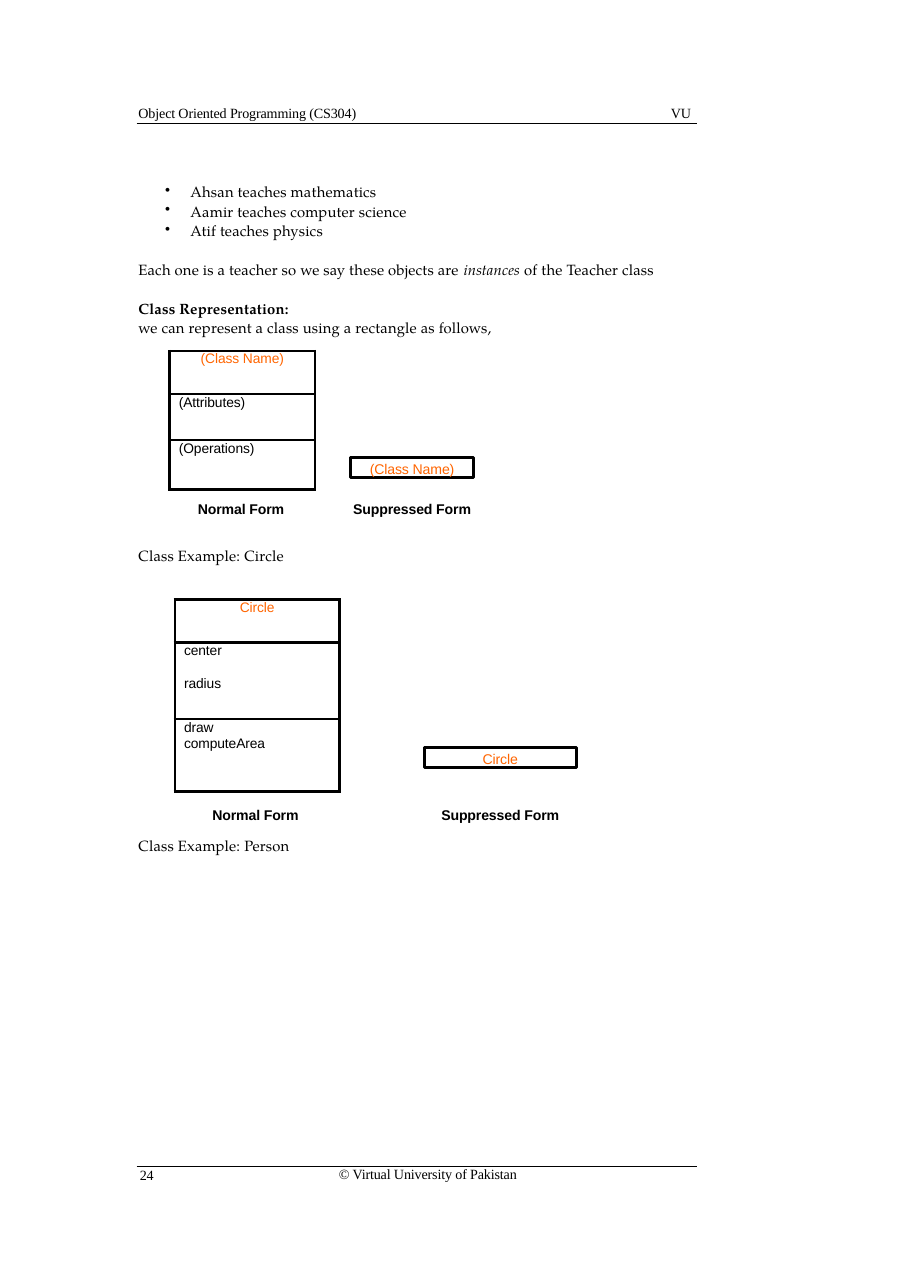
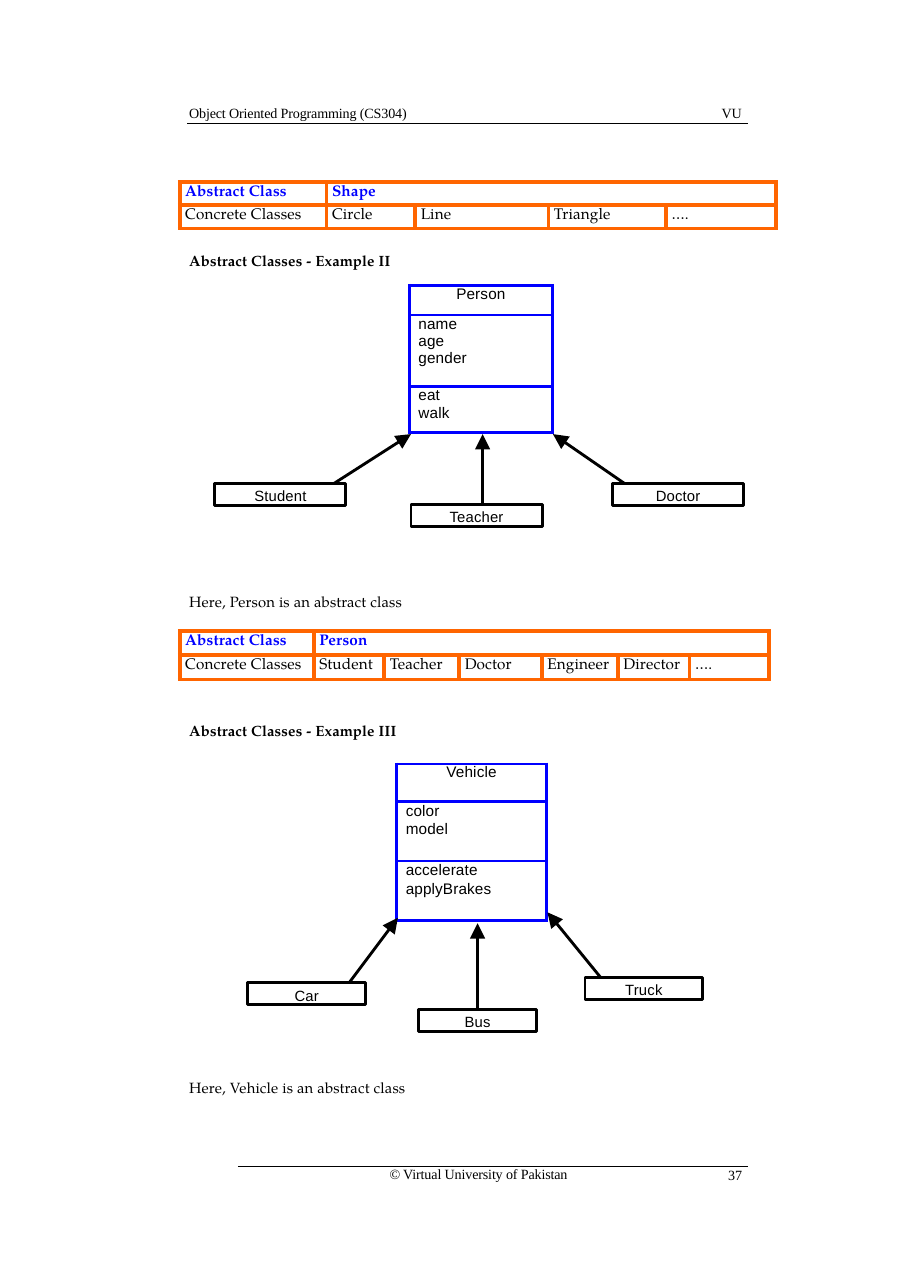
from lxml.etree import SubElement
from pptx import Presentation
from pptx.dml.color import RGBColor
from pptx.enum.shapes import MSO_CONNECTOR, MSO_SHAPE
from pptx.enum.text import MSO_ANCHOR, PP_ALIGN
from pptx.oxml.ns import qn
from pptx.util import Pt

BLACK = RGBColor(0x00, 0x00, 0x00)
ORANGE = RGBColor(0xFF, 0x65, 0x00)
BLUE = RGBColor(0x00, 0x00, 0xFF)
SERIF, SANS, BODY = "Times New Roman", "Arial", "TeX Gyre Pagella"
BOX_LINE = 1.88
CENTER = PP_ALIGN.CENTER


def write(p, text, font=BODY, size=9.7, color=BLACK, bold=False, italic=False,
          spacing=0.1, align=None, before=None, leading=None):
    r = p.add_run()
    r.text = text
    r.font.name, r.font.size = font, Pt(size)
    r.font.bold, r.font.italic = bold, italic
    r.font.color.rgb = color
    r.font._element.set("spc", str(round(spacing * 100)))
    if align is not None:
        p.alignment = align
    if before is not None:
        p.space_before = Pt(before)
    if leading is not None:
        p.line_spacing = Pt(leading)


def add_bullet(p, left=34, hang=16.5):
    pPr = p._p.get_or_add_pPr()
    pPr.set("marL", str(Pt(left)))
    pPr.set("indent", str(-Pt(hang)))
    SubElement(pPr, qn("a:buChar")).set("char", "•")


def set_borders(cell, color, width):
    tcPr = cell._tc.get_or_add_tcPr()
    for i, side in enumerate(("lnL", "lnR", "lnT", "lnB")):
        ln = SubElement(tcPr, qn(f"a:{side}"))
        ln.set("w", str(Pt(width)))
        fill = SubElement(ln, qn("a:solidFill"))
        SubElement(fill, qn("a:srgbClr")).set("val", str(color))
        tcPr.insert(i, ln)


class Page:
    def __init__(self, prs, margin):
        self.s = prs.slides.add_slide(prs.slide_layouts[6])
        self.margin = margin

    def frame(self, number, number_left, foot_indent=0):
        """Running header and footer with their rules."""
        left, right = self.margin - 1.2, self.margin + 365.3
        self.line(left, 80.7, right, 80.7)
        self.line(left + foot_indent, 762.4, right, 762.4)
        for text, x, y, w in (
                ("Object Oriented Programming (CS304)", self.margin, 68.4, 180),
                ("VU", self.margin + 348, 68.4, 20),
                ("© Virtual University of Pakistan", self.margin + 131, 761.8, 150),
                (number, number_left, 762.4, 20)):
            self.text(text, y, left=x, width=w, font=SERIF, size=9.2, spacing=-0.1)

    def text_frame(self, left, top, width, height):
        tf = self.s.shapes.add_textbox(Pt(left), Pt(top), Pt(width), Pt(height)).text_frame
        tf.margin_left = tf.margin_right = tf.margin_top = tf.margin_bottom = 0
        tf.word_wrap = True
        return tf

    def text(self, text, top, left=None, width=200, **fmt):
        left = self.margin if left is None else left
        write(self.text_frame(left, top, width, 12).paragraphs[0], text, **fmt)

    def caption(self, text, top, left, width):
        """Bold label centred under a box."""
        self.text(text, top, left=left - 10, width=width + 20, font=SANS, size=9.2,
                  bold=True, spacing=-0.1, align=CENTER)

    def line(self, x1, y1, x2, y2, width=0.66):
        c = self.s.shapes.add_connector(MSO_CONNECTOR.STRAIGHT,
                                        Pt(x1), Pt(y1), Pt(x2), Pt(y2))
        c.line.color.rgb, c.line.width = BLACK, Pt(width)
        SubElement(c._element.spPr, qn("a:effectLst"))
        return c

    def arrow(self, x1, y1, x2, y2):
        c = self.line(x1, y1, x2, y2, BOX_LINE)
        head = SubElement(c.line._get_or_add_ln(), qn("a:tailEnd"))
        for key, value in (("type", "triangle"), ("w", "lg"), ("len", "lg")):
            head.set(key, value)
        return c

    def box(self, text, left, top, width, height=14.4, **fmt):
        sp = self.s.shapes.add_shape(MSO_SHAPE.RECTANGLE, Pt(left), Pt(top),
                                     Pt(width), Pt(height))
        sp.shadow.inherit = False
        sp.fill.background()
        sp.line.color.rgb, sp.line.width = BLACK, Pt(BOX_LINE)
        tf = sp.text_frame
        tf.margin_left = tf.margin_right = tf.margin_bottom = 0
        tf.margin_top = Pt(2.3)
        tf.vertical_anchor = MSO_ANCHOR.TOP
        write(tf.paragraphs[0], text, font=SANS, align=CENTER, **fmt)
        return sp

    def table(self, left, top, widths, heights, color, line_width, inset):
        t = self.s.shapes.add_table(len(heights), len(widths), Pt(left), Pt(top),
                                    Pt(sum(widths)), Pt(sum(heights))).table
        t.first_row = t.horz_banding = False
        for col, w in zip(t.columns, widths):
            col.width = Pt(w)
        for row, h in zip(t.rows, heights):
            row.height = Pt(h)
        for cell in t.iter_cells():
            cell.margin_left = Pt(inset)
            cell.margin_right = cell.margin_top = cell.margin_bottom = 0
            cell.fill.background()
            set_borders(cell, color, line_width)
        return t

    def class_box(self, left, top, width, heights, name, *sections, line=BLACK,
                  name_color=BLACK, leading=11.9, gap=0, **fmt):
        """Class diagram: name, attributes, operations; gap parts the attributes."""
        t = self.table(left, top, [width], heights, line, BOX_LINE, 6)
        title = t.cell(0, 0)
        title.margin_left = 0
        write(title.text_frame.paragraphs[0], name, font=SANS, color=name_color,
              align=CENTER, **fmt)
        for row, lines in enumerate(sections, 1):
            tf = t.cell(row, 0).text_frame
            for i, text in enumerate(lines):
                p = tf.add_paragraph() if i else tf.paragraphs[0]
                write(p, text, font=SANS, leading=leading,
                      before=gap if i and row == 1 else 0, **fmt)

    def concrete_table(self, top, widths, height, abstract, concrete):
        t = self.table(117.4, top, widths, [height] * 2, ORANGE, 2.82, 3.6)
        t.cell(0, 1).merge(t.cell(0, len(widths) - 1))
        rows = (("Abstract Class", abstract), ("Concrete Classes", *concrete))
        for i, texts in enumerate(rows):
            for j, text in enumerate(texts):
                write(t.cell(i, j).text_frame.paragraphs[0], text, size=10,
                      color=BLACK if i else BLUE, bold=not i, leading=11.8)


def class_representation(prs):
    page = Page(prs, 90.5)
    page.frame("24", 91.4)

    tf = page.text_frame(page.margin, 119.5, 360, 101)
    for i, text in enumerate(("Ahsan teaches mathematics",
                              "Aamir teaches computer science",
                              "Atif teaches physics")):
        p = tf.add_paragraph() if i else tf.paragraphs[0]
        add_bullet(p)
        write(p, text, before=1.1 if i else 0)
    p = tf.add_paragraph()
    write(p, "Each one is a teacher so we say these objects are ", before=13.8)
    write(p, "instances", italic=True)
    write(p, " of the Teacher class")
    write(tf.add_paragraph(), "Class Representation:", bold=True, before=13.8)
    write(tf.add_paragraph(), "we can represent a class using a rectangle as follows,",
          before=0.6)

    small = dict(name_color=ORANGE, size=9, spacing=-0.05, leading=10.7)
    page.class_box(110.9, 229.5, 95, [28, 30, 32.5], "(Class Name)",
                   ["(Attributes)"], ["(Operations)"], **small)
    page.class_box(114.3, 391.8, 107.5, [28, 50, 47.5], "Circle",
                   ["center", "radius"], ["draw", "computeArea"], gap=10.7, **small)

    for name, left, top, width, normal, caption_top in (
            ("(Class Name)", 229, 298.8, 80.6, (110, 95), 326.9),
            ("Circle", 277.2, 488.2, 99.4, (113.2, 107.5), 527)):
        page.box(name, left, top, width, 13.4, size=9.2, color=ORANGE, spacing=-0.1)
        page.caption("Normal Form", caption_top, *normal)
        page.caption("Suppressed Form", caption_top, left, width)

    page.text("Class Example: Circle", 357.1)
    page.text("Class Example: Person", 546.5)


def abstract_classes(prs):
    page = Page(prs, 123.6)
    page.frame("37", 475.9, foot_indent=33.1)

    page.concrete_table(118.9, [96, 58, 87, 77, 72], 15.2, "Shape",
                        ["Circle", "Line", "Triangle", "…."])
    page.concrete_table(412.4, [87.8, 46, 49, 54, 49.7, 46.8, 51.8], 15.8, "Person",
                        ["Student", "Teacher", "Doctor", "Engineer", "Director", "…."])

    page.text("Abstract Classes - Example II", 164.2, bold=True)
    page.text("Here, Person is an abstract class", 387.4)
    page.text("Abstract Classes - Example III", 471.6, bold=True)
    page.text("Here, Vehicle is an abstract class", 704.9)

    page.class_box(267.5, 186.4, 93.5, [19.4, 46.8, 30.2], "Person",
                   ["name", "age", "gender"], ["eat", "walk"],
                   line=BLUE, size=10, leading=11.4)
    page.class_box(259.2, 499.2, 98, [24.5, 39, 39], "Vehicle",
                   ["color", "model"], ["accelerate", "applyBrakes"],
                   line=BLUE, size=10)

    for name, left, top, width, start, end in (
            ("Student", 140.4, 316, 85.7, 218.2, (268.6, 283.7)),
            ("Teacher", 268.6, 329.8, 85.7, 315.4, (315.4, 283.7)),
            ("Doctor", 400.3, 316, 85.7, 408.2, (361.4, 283.7)),
            ("Car", 162, 642.2, 77, 228.2, (260, 599.8)),
            ("Bus", 273.6, 659.5, 77, 312.1, (312.1, 603.4)),
            ("Truck", 382.3, 638.6, 77, 392.4, (357.8, 596.2))):
        sp = page.box(name, left, top, width)
        c = page.arrow(start, top, *end)
        if abs(start - left - width / 2) < 0.1:
            c.begin_connect(sp, 0)


def main():
    prs = Presentation()
    prs.slide_width, prs.slide_height = Pt(594.72), Pt(841.68)
    class_representation(prs)
    abstract_classes(prs)
    prs.save("out.pptx")


if __name__ == "__main__":
    main()
